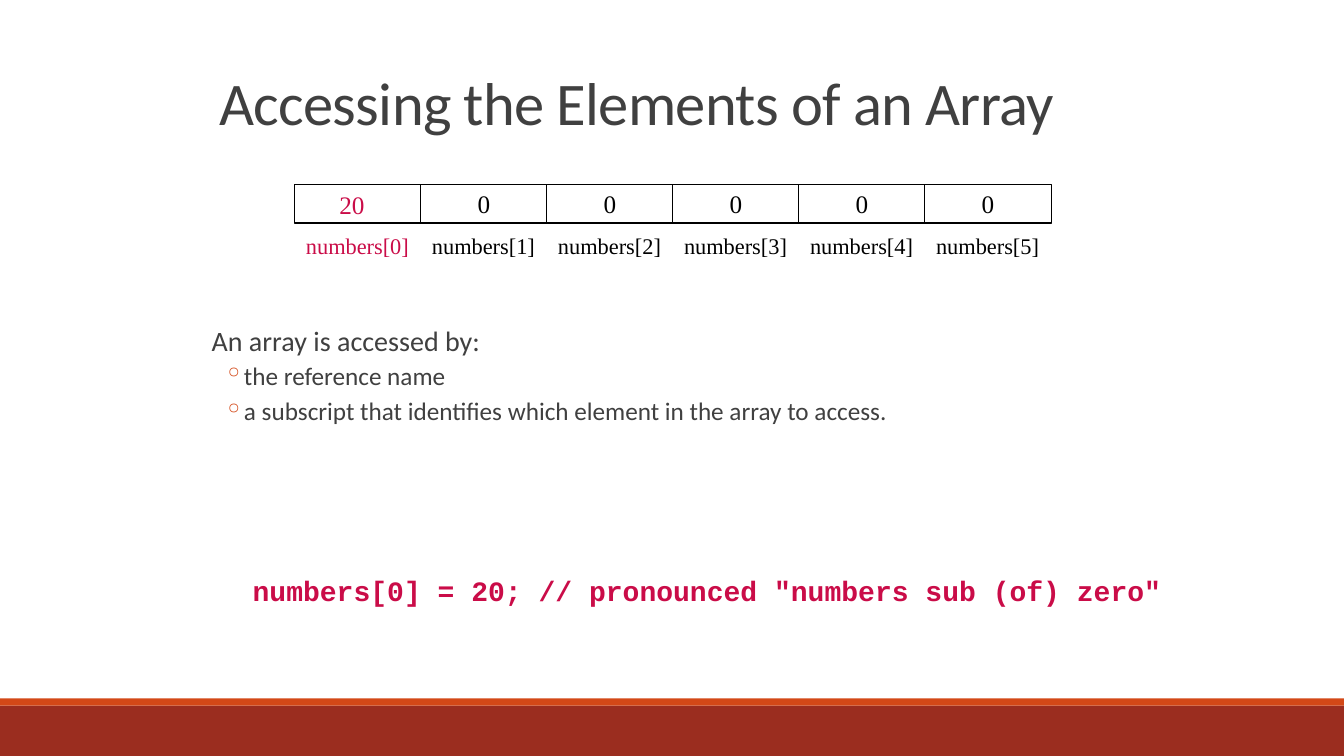
from lxml.etree import SubElement
from pptx import Presentation
from pptx.dml.color import RGBColor
from pptx.enum.shapes import MSO_SHAPE as Shape
from pptx.enum.text import MSO_ANCHOR as Anchor, PP_ALIGN as Align
from pptx.oxml.ns import qn
from pptx.util import Inches, Pt

WHITE = RGBColor(0xFF, 0xFF, 0xFF)
BLACK = RGBColor(0x00, 0x00, 0x00)
GREY = RGBColor(0x40, 0x40, 0x40)
CRIMSON = RGBColor(0xCA, 0x0C, 0x48)
ORANGE = RGBColor(0xD3, 0x48, 0x17)
BRICK = RGBColor(0x9B, 0x2D, 0x1F)
SANS, SERIF, MONO = "Calibri", "Times New Roman", "Courier New"

VALUES = ["", "0", "0", "0", "0", "0"]
ARRAY_LEFT, ARRAY_TOP, CELL_STEP = 2.92, 1.83, 1.25
ACCESS_PARTS = [
    "the reference name",
    "a subscript that identifies which element in the array to access.",
]


def format_paragraph(paragraph, font, size, color, align=Align.LEFT, bold=False):
    """Set the alignment of a paragraph and the font of its runs."""
    paragraph.alignment = align
    for run in paragraph.runs:
        run.font.name = font
        run.font.size = Pt(size)
        run.font.color.rgb = color
        run.font.bold = bold


def add_rectangle(slide, left, top, width, height, fill):
    """Add a plain filled rectangle."""
    shape = slide.shapes.add_shape(
        Shape.RECTANGLE, Inches(left), Inches(top), Inches(width), Inches(height))
    shape.shadow.inherit = False
    shape.fill.solid()
    shape.fill.fore_color.rgb = fill
    shape.line.fill.background()
    return shape


def add_text(slide, box, text, font, size, color, align=Align.CENTER, bold=False,
             wrap=True):
    """Add a text box with one formatted paragraph."""
    shape = slide.shapes.add_textbox(*(Inches(length) for length in box))
    text_frame = shape.text_frame
    text_frame.word_wrap = wrap
    text_frame.text = text
    format_paragraph(text_frame.paragraphs[0], font, size, color, align, bold)
    return text_frame


def add_title(slide, text):
    """Add the slide title, set slightly tight."""
    text_frame = add_text(slide, (2.08, 0.17, 8.5, 1.25), text, SANS, 43.2, GREY, Align.LEFT)
    text_frame.vertical_anchor = Anchor.BOTTOM
    paragraph = text_frame.paragraphs[0]
    paragraph.line_spacing = 0.85
    paragraph.runs[0].font._element.set("spc", "-50")


def add_cell(slide, index, value):
    """Add one array cell with its subscript label below."""
    left = ARRAY_LEFT + index * CELL_STEP
    cell = add_rectangle(slide, left, ARRAY_TOP, 1.26, 0.38, WHITE)
    cell.line.color.rgb = BLACK
    cell.line.width = Pt(1.25)
    text_frame = cell.text_frame
    text_frame.word_wrap = False
    text_frame.vertical_anchor = Anchor.MIDDLE
    text_frame.text = value
    format_paragraph(text_frame.paragraphs[0], SERIF, 18, BLACK, Align.CENTER)
    add_text(slide, (left, ARRAY_TOP + 0.42, CELL_STEP, 0.37), f"numbers[{index}]",
             SERIF, 16, BLACK if index else CRIMSON)


def set_indent(paragraph, margin, indent, bullet=None):
    """Indent a paragraph and give it an optional orange bullet."""
    properties = paragraph._p.get_or_add_pPr()
    properties.set("marL", str(Inches(margin)))
    properties.set("indent", str(Inches(indent)))
    if bullet:
        color = SubElement(properties, qn("a:buClr"))
        SubElement(color, qn("a:srgbClr")).set("val", str(ORANGE))
        SubElement(properties, qn("a:buChar")).set("char", bullet)


def add_body(slide, heading, items):
    """Add the heading line and its bulleted items."""
    text_frame = add_text(slide, (2, 3.2, 9.07, 3.55), heading, SANS, 20, GREY, Align.LEFT)
    text_frame.margin_left = text_frame.margin_right = 0
    first = text_frame.paragraphs[0]
    first.line_spacing = 0.9
    first.space_before, first.space_after = Pt(12), Pt(2)
    set_indent(first, 0.1, 0)
    for item in items:
        paragraph = text_frame.add_paragraph()
        paragraph.text = item
        paragraph.level = 1
        paragraph.line_spacing = 0.9
        paragraph.space_before, paragraph.space_after = Pt(2), Pt(4)
        format_paragraph(paragraph, SANS, 18, GREY)
        set_indent(paragraph, 0.42, -0.2, "◦")


def main():
    """Build the slide and save it."""
    presentation = Presentation()
    presentation.slide_width, presentation.slide_height = Inches(13.33), Inches(7.5)
    slide = presentation.slides.add_slide(presentation.slide_layouts[6])
    add_rectangle(slide, 0, 7, 13.33, 0.5, BRICK)
    add_rectangle(slide, 0, 6.93, 13.33, 0.07, ORANGE)
    add_title(slide, "Accessing the Elements of an Array")
    add_body(slide, "An array is accessed by:", ACCESS_PARTS)
    add_text(slide, (2.37, 5.64, 9.29, 0.44),
             'numbers[0] = 20; // pronounced "numbers sub (of) zero"',
             MONO, 20, CRIMSON, bold=True, wrap=False)
    for index, value in enumerate(VALUES):
        add_cell(slide, index, value)
    add_text(slide, (3.25, ARRAY_TOP, 0.48, 0.4), "20", SERIF, 18, CRIMSON)
    presentation.save("out.pptx")


if __name__ == "__main__":
    main()
